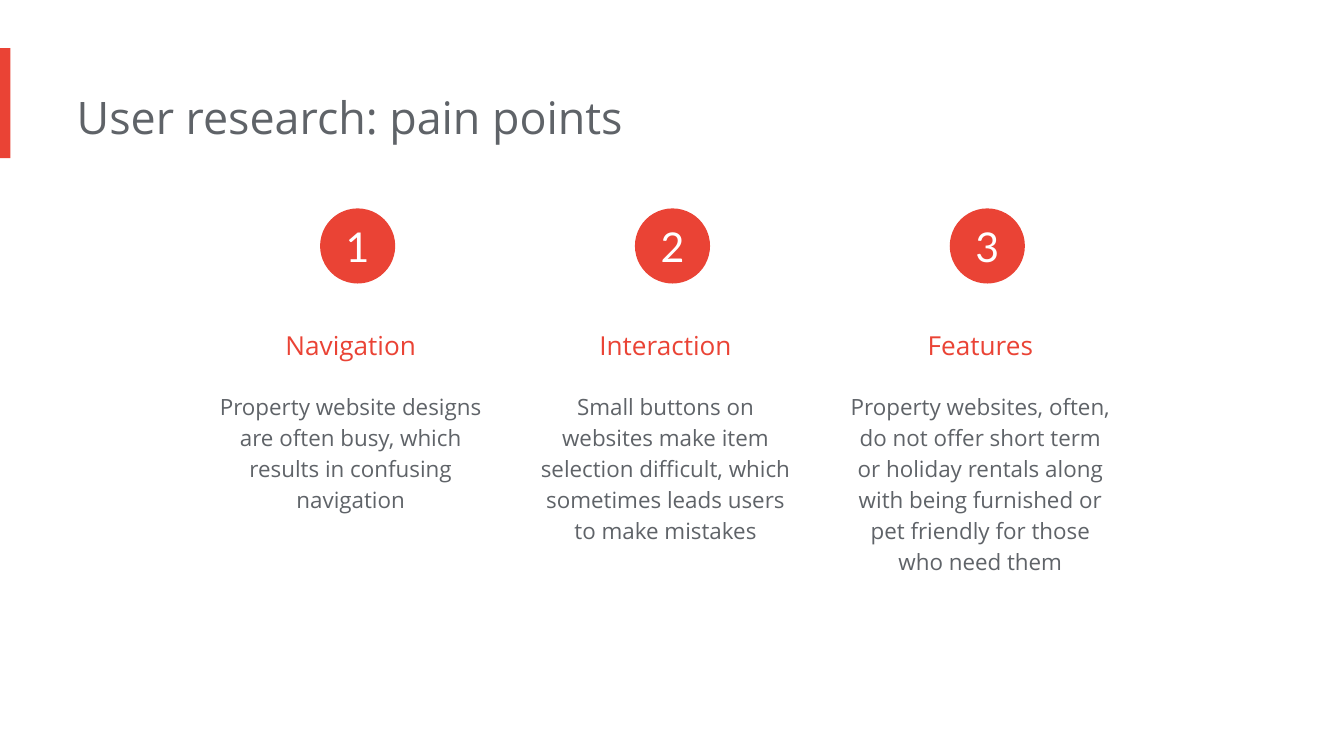
from pptx import Presentation
from pptx.dml.color import RGBColor
from pptx.enum import shapes, text
from pptx.util import Cm, Pt

TITLE = "User research: pain points"
POINTS = [
    ("Navigation", "Property website designs are often busy, which results in "
     "confusing navigation", 3.38),
    ("Interaction", "Small buttons on websites make item selection difficult, "
     "which sometimes leads users to make mistakes", 3.99),
    ("Features", "Property websites, often, do not offer short term or holiday "
     "rentals along with being furnished or pet friendly for those who need them", 3.99),
]
COLORS = {"red": "EA4335", "gray": "5F6368", "white": "FFFFFF"}
LEFT, STEP, WIDTH = 4.15, 5.95, 5.21
DOT, INSET = 1.42, 1.9


def color(name):
    return RGBColor.from_string(COLORS[name])


def style(para, words, size, tint, face="Open Sans"):
    para.text = words
    para.font.size = Pt(size)
    para.font.name = face
    para.font.color.rgb = color(tint)


def add_text(box, words, size, tint, align=None, space=None):
    frame = slide.shapes.add_textbox(*map(Cm, box)).text_frame
    frame.word_wrap = True
    frame.auto_size = text.MSO_AUTO_SIZE.SHAPE_TO_FIT_TEXT
    frame.margin_left = 0
    frame.margin_top = frame.margin_right = frame.margin_bottom = Cm(0.25)
    para = frame.paragraphs[0]
    style(para, words, size, tint)
    para.alignment = align
    para.line_spacing = space


def add_fill(kind, box):
    shape = slide.shapes.add_shape(kind, *map(Cm, box))
    shape.shadow.inherit = False
    shape.fill.solid()
    shape.fill.fore_color.rgb = color("red")
    shape.line.fill.background()
    return shape


deck = Presentation()
deck.slide_width, deck.slide_height = Cm(25.4), Cm(14.29)
slide = deck.slides.add_slide(deck.slide_layouts[6])
center = text.PP_ALIGN.CENTER

add_fill(shapes.MSO_SHAPE.RECTANGLE, (0, 0.91, 0.2, 2.08))
add_text((1.45, 1.45, 17.09, 1.55), TITLE, 24, "gray")

for num, (head, body, height) in enumerate(POINTS):
    left = LEFT + num * STEP
    add_text((left, 5.69, WIDTH, 1.12), head, 14, "red", center, 1.5)
    add_text((left, 7.11, WIDTH, height), body, 12, "gray", center, 1.15)
    dot = add_fill(shapes.MSO_SHAPE.OVAL, (left + INSET, 3.94, DOT, DOT))
    frame = dot.text_frame
    frame.margin_left = frame.margin_top = frame.margin_right = frame.margin_bottom = 0
    frame.vertical_anchor = text.MSO_ANCHOR.MIDDLE
    style(frame.paragraphs[0], str(num + 1), 22, "white", "Lato")
    frame.paragraphs[0].alignment = center

deck.save("out.pptx")
